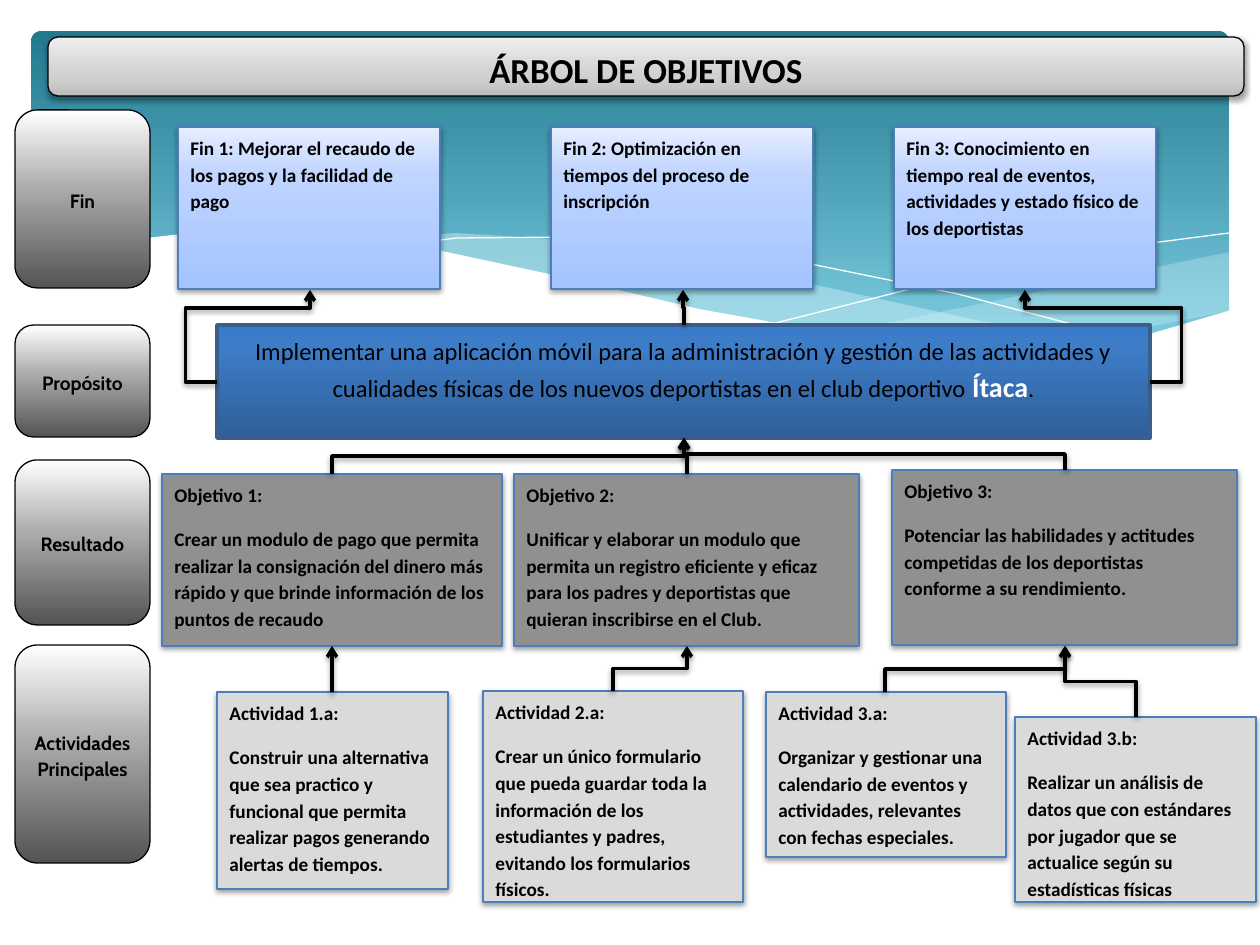
from lxml import etree
from pptx import Presentation
from pptx.dml.color import RGBColor
from pptx.enum.shapes import MSO_CONNECTOR, MSO_SHAPE
from pptx.enum.text import MSO_ANCHOR, PP_ALIGN
from pptx.oxml.ns import qn
from pptx.util import Pt

PX = 914400 / 126
ROUND = MSO_SHAPE.ROUNDED_RECTANGLE
PROCESS = MSO_SHAPE.FLOWCHART_PROCESS
TITLE = MSO_SHAPE.FLOWCHART_ALTERNATE_PROCESS
ELBOW = MSO_CONNECTOR.ELBOW
TOP, MIDDLE = MSO_ANCHOR.TOP, MSO_ANCHOR.MIDDLE
LEFT, CENTER = PP_ALIGN.LEFT, PP_ALIGN.CENTER

INK = {"black": "000000", "white": "FFFFFF", "edge": "4B7EBC", "navy": "3A5F8C",
       "gray": "909090", "pale": "DADADA", "ice": "DEF5FA"}
FADE = {
    "teal": [(0, "227A8F"), (90, "7ACBE0")],
    "steel": [(0, "FFFFFF"), (44, "ABABAB"), (100, "545454")],
    "sky": [(0, "E6EEFF"), (30, "BFD4FF"), (100, "A4C4FF")],
    "blue": [(0, "3A7CCB"), (20, "3D7CC7"), (100, "2F5F99")],
    "silver": [(0, "EEEEEE"), (65, "D1D1D1"), (100, "BDBDBD")],
}
RGB = {name: RGBColor.from_string(code) for name, code in INK.items()}

deck = Presentation()
deck.slide_width, deck.slide_height = round(1260 * PX), round(945 * PX)
slide = deck.slides.add_slide(deck.slide_layouts[6])
shapes = slide.shapes


def shade(item):
    props = item._element.spPr
    for old in props.findall(qn("a:effectLst")):
        props.remove(old)
    effects = etree.SubElement(props, qn("a:effectLst"))
    glow = etree.SubElement(effects, qn("a:outerShdw"), blurRad="40000", dist="20000",
                            dir="5400000", rotWithShape="0")
    tint = etree.SubElement(glow, qn("a:srgbClr"), val=INK["black"])
    etree.SubElement(tint, qn("a:alpha"), val="38000")


def box(kind, rect, fill, edge, lines=(), size=11, face="Calibri", align=LEFT,
        anchor=TOP, width=0.75, shadow=True):
    item = shapes.add_shape(kind, *[round(v * PX) for v in rect])
    if fill in FADE:
        item.fill.gradient()
        item.fill.gradient_angle = 270
        stops = item._element.spPr.find(".//" + qn("a:gsLst"))
        for old in list(stops):
            stops.remove(old)
        for pos, code in FADE[fill]:
            stop = etree.SubElement(stops, qn("a:gs"), pos=str(pos * 1000))
            etree.SubElement(stop, qn("a:srgbClr"), val=code)
    else:
        item.fill.solid()
        item.fill.fore_color.rgb = RGB[fill]
    if edge:
        item.line.color.rgb = RGB[edge]
        item.line.width = Pt(width)
    else:
        item.line.fill.background()
    item.shadow.inherit = False
    if shadow:
        shade(item)
    frame = item.text_frame
    frame.word_wrap = True
    frame.vertical_anchor = anchor
    for i, line in enumerate(lines):
        para = frame.add_paragraph() if i else frame.paragraphs[0]
        para.alignment = align
        para.line_spacing = 1.15
        para.space_after = Pt(10)
        para.font.name, para.font.size, para.font.bold = face, Pt(size), True
        para.font.color.rgb = RGB["black"]
        para.add_run().text = line
    return item


back = box(ROUND, (31, 31, 1198, 340), "teal", None, shadow=False)
back.adjustments[0] = 0.03

waves = [
    ("ice", 29, [(1229, 252), (1048, 290), (833, 334), (1031, 350), (1230, 311)]),
    ("ice", 40, [(1125, 344), (976, 320), (793, 280), (682, 255), (586, 241), (455, 233),
                 (360, 241), (456, 255), (619, 292), (757, 322), (910, 345), (1031, 350)]),
    (None, 0, [(389, 246), (457, 238), (567, 237), (672, 244), (801, 262), (958, 294),
               (1143, 343)]),
    (None, 0, [(772, 324), (942, 281), (1091, 251), (1229, 233)]),
    ("white", 100, [(29, 268), (110, 242), (200, 232), (315, 234), (428, 248), (563, 277),
                    (699, 309), (816, 330), (915, 343), (1037, 349), (1133, 339),
                    (1231, 310), (1231, 415), (29, 415)]),
]
for fill, alpha, points in waves:
    pen = shapes.build_freeform(*points[0], scale=PX)
    pen.add_line_segments(points[1:], close=bool(fill))
    wave = pen.convert_to_shape()
    wave.shadow.inherit = False
    if fill:
        wave.fill.solid()
        wave.fill.fore_color.rgb = RGB[fill]
        tint = wave._element.spPr.find(".//" + qn("a:srgbClr"))
        etree.SubElement(tint, qn("a:alpha"), val=str(alpha * 1000))
        wave.line.fill.background()
    else:
        wave.fill.background()
        wave.line.color.rgb = RGB["white"]
        wave.line.width = 0

for label, y, h in [("Fin", 110, 178), ("Propósito", 325, 112), ("Resultado", 460, 165),
                    ("Actividades Principales", 645, 218)]:
    box(ROUND, (15, y, 135, h), "steel", "black", [label], face="Cabin", align=CENTER,
        anchor=MIDDLE, shadow=False)

for x, text in [
    (178, "Fin 1: Mejorar el recaudo de los pagos y la facilidad de pago"),
    (551, "Fin 2: Optimización en tiempos del proceso de inscripción"),
    (894, "Fin 3: Conocimiento en tiempo real de eventos, actividades y estado físico de "
          "los deportistas"),
]:
    box(PROCESS, (x, 127, 262, 162), "sky", "edge", [text])

goal = box(PROCESS, (217, 325, 933, 113), "blue", "navy",
           ["Implementar una aplicación móvil para la administración y gestión de las actividades y "
            "cualidades físicas de los nuevos deportistas en el club deportivo "],
           size=14, align=CENTER, width=2, shadow=False)
para = goal.text_frame.paragraphs[0]
para.font.bold = False
club = para.add_run()
club.text = "Ítaca"
club.font.size, club.font.bold = Pt(16), True
club.font.color.rgb = RGB["white"]
para.add_run().text = "."

for rect, fill, head, text in [
    ((162, 474, 340, 172), "gray", "Objetivo 1:",
     "Crear un modulo de pago que permita realizar la consignación del dinero más rápido y que "
     "brinde información de los puntos de recaudo"),
    ((514, 474, 345, 172), "gray", "Objetivo 2:",
     "Unificar y elaborar un modulo que permita un registro eficiente y eficaz para los padres y "
     "deportistas que quieran inscribirse en el Club."),
    ((892, 470, 345, 175), "gray", "Objetivo 3:",
     "Potenciar las habilidades y actitudes competidas de los deportistas conforme a su "
     "rendimiento."),
    ((217, 692, 231, 197), "pale", "Actividad 1.a:",
     "Construir una alternativa que sea practico y funcional que permita realizar pagos "
     "generando alertas de tiempos."),
    ((483, 691, 260, 211), "pale", "Actividad 2.a:",
     "Crear un único formulario que pueda guardar toda la información de los estudiantes y "
     "padres, evitando los formularios físicos."),
    ((766, 692, 240, 165), "pale", "Actividad 3.a:",
     "Organizar y gestionar una calendario de eventos y actividades, relevantes con fechas "
     "especiales."),
    ((1015, 717, 241, 185), "pale", "Actividad 3.b:",
     "Realizar un análisis de datos que con estándares por jugador que se actualice según su "
     "estadísticas físicas"),
]:
    box(PROCESS, rect, fill, "edge", [head, text])

links = []
for x2, y2, tails in [(332, 646, [(332, 692)]), (687, 646, [(613, 691)]),
                      (1065, 646, [(885, 692), (1136, 717)]),
                      (684, 438, [(332, 474), (687, 474), (1065, 470)]),
                      (683, 290, [(684, 325)])]:
    for x1, y1 in tails:
        side = 1 if x2 < x1 else -1
        mx, my = (x1 + x2) / 2, (y1 + y2) / 2
        dx, dy = side * (y1 - y2) / 2, side * (x2 - x1) / 2
        ends = (mx - dx, my - dy, mx + dx, my + dy)
        link = shapes.add_connector(ELBOW, *[round(v * PX) for v in ends])
        turn = 270 if side > 0 else 90
        link._element.spPr.find(qn("a:xfrm")).set("rot", str(turn * 60000))
        links.append(link)

for ends, bend in [((217, 382, 310, 290), -34100), ((1150, 382, 1025, 290), -25300)]:
    link = shapes.add_connector(ELBOW, *[round(v * PX) for v in ends])
    geom = link._element.spPr.find(qn("a:prstGeom"))
    geom.set("prst", "bentConnector4")
    for name, value in [("adj1", bend), ("adj2", 80300)]:
        etree.SubElement(geom.find(qn("a:avLst")), qn("a:gd"), name=name, fmla=f"val {value}")
    links.append(link)

for link in links:
    link.line.color.rgb = RGB["black"]
    link.line.width = Pt(2)
    etree.SubElement(link._element.spPr.find(qn("a:ln")), qn("a:tailEnd"), type="arrow")
    shade(link)

box(TITLE, (48, 37, 1196, 59), "silver", "black", ["ÁRBOL DE OBJETIVOS"], size=20,
    align=CENTER, anchor=MIDDLE)

deck.save("out.pptx")
